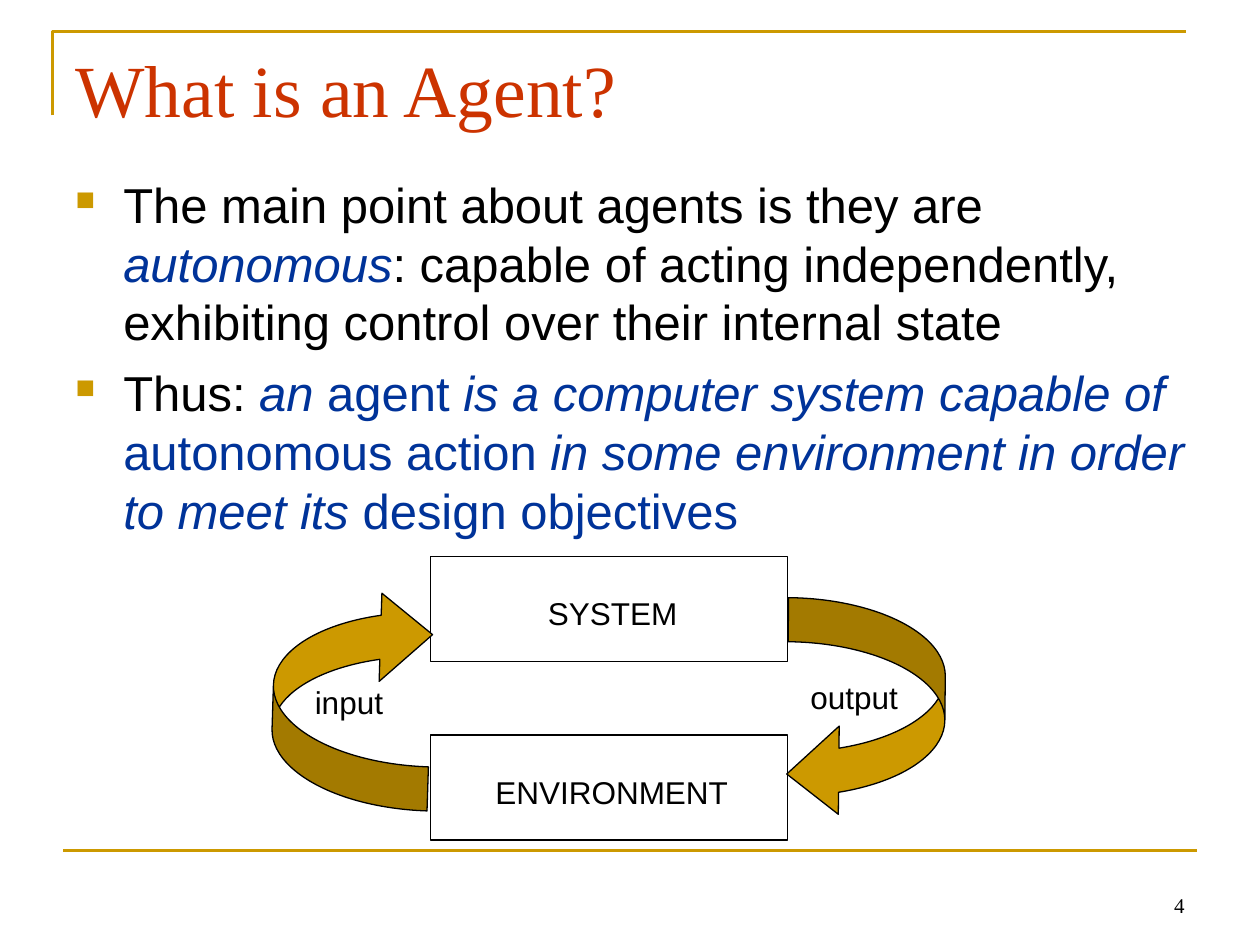
"""Build the slide that defines an agent as a loop between system and environment."""
from dataclasses import dataclass

from lxml import etree
from pptx import Presentation
from pptx import util as u
from pptx.dml.color import RGBColor
from pptx.enum import shapes, text
from pptx.oxml.ns import qn

COLS, ROWS = 120, 90
CELL = u.Inches(10) // COLS


@dataclass(frozen=True)
class Theme:
    gold: str = "CC9900"
    red: str = "CC3300"
    blue: str = "003399"
    black: str = "000000"
    sans: str = "Arial"
    serif: str = "Times New Roman"
    head: float = 42
    body: float = 28
    label: float = 18
    page: float = 12
    rule: float = 1.5
    edge: float = 0.75


@dataclass(frozen=True)
class Area:
    col: float
    row: float
    wide: float
    high: float

    def place(self) -> tuple:
        """Return left, top, width and height in slide units."""
        return tuple(round(n * CELL) for n in (self.col, self.row, self.wide, self.high))


@dataclass(frozen=True)
class Label:
    words: str
    area: Area
    wrap: bool = True


@dataclass(frozen=True)
class Arrow:
    area: Area
    turn: float


@dataclass(frozen=True)
class Run:
    words: str
    tint: str = "black"
    slant: bool = False


THEME = Theme()
BOXES = [Area(41, row, 34, 10) for row in (53, 70)]
ARROWS = [Arrow(Area(26, 56, 15, 21), 181.8), Arrow(Area(75, 57, 15, 21), 0.6)]
LABELS = [
    Label("SYSTEM", Area(51, 56, 15, 4.8)),
    Label("ENVIRONMENT", Area(46, 73, 25, 4.8)),
    Label("input", Area(28.8, 64.5, 8.9, 4.8), False),
    Label("output", Area(76, 64, 10.7, 4.8), False),
]
POINTS = [
    [
        Run("The main point about agents is they are "),
        Run("autonomous", "blue", True),
        Run(": capable of acting independently, exhibiting control over their internal state"),
    ],
    [
        Run("Thus: "),
        Run("an", "blue", True),
        Run(" agent", "blue"),
        Run(" is a computer system capable of ", "blue", True),
        Run("autonomous action ", "blue"),
        Run("in some environment in order to meet its ", "blue", True),
        Run("design objectives", "blue"),
    ],
]


def paint(line, tint: str, width: float) -> None:
    """Colour a line and set its width."""
    line.color.rgb = RGBColor.from_string(tint)
    line.width = u.Pt(width)


def add_frame(slide) -> None:
    """Draw the corner above the title and the rule above the footer."""
    build = slide.shapes.build_freeform(5, 11, scale=CELL)
    build.add_line_segments([(5, 3), (113, 3)], close=False)
    corner = build.convert_to_shape()
    corner.shadow.inherit = False
    corner.fill.background()
    paint(corner.line, THEME.gold, THEME.rule)
    ends = [n * CELL for n in (6, 81, 114, 81)]
    rule = slide.shapes.add_connector(shapes.MSO_CONNECTOR.STRAIGHT, *ends)
    etree.SubElement(rule._element.spPr, qn("a:effectLst"))
    paint(rule.line, THEME.gold, THEME.rule)


def add_text(slide, area: Area, wrap: bool = True):
    """Add an empty text box and return its frame."""
    frame = slide.shapes.add_textbox(*area.place()).text_frame
    frame.word_wrap = wrap
    return frame


def style(para, face: str, size: float, tint: str) -> None:
    """Set the font of a whole paragraph."""
    para.font.name = face
    para.font.size = u.Pt(size)
    para.font.color.rgb = RGBColor.from_string(tint)


def add_bullet(para) -> None:
    """Give a paragraph a hanging gold square."""
    props = para._p.get_or_add_pPr()
    props.set("marL", str(u.Inches(0.38)))
    props.set("indent", str(-u.Inches(0.38)))
    tint = etree.Element(qn("a:buClr"))
    etree.SubElement(tint, qn("a:srgbClr"), val=THEME.gold)
    size = etree.Element(qn("a:buSzPct"), val="55000")
    mark = etree.Element(qn("a:buChar"), char="■")
    at = len(props) - len(props.findall(qn("a:defRPr")))
    props[at:at] = [tint, size, mark]


def add_points(slide) -> None:
    """Write the bulleted statements."""
    frame = add_text(slide, Area(6, 16, 111, 39))
    for i, runs in enumerate(POINTS):
        para = frame.add_paragraph() if i else frame.paragraphs[0]
        para.space_before = u.Pt(7)
        style(para, THEME.sans, THEME.body, THEME.black)
        add_bullet(para)
        for part in runs:
            run = para.add_run()
            run.text = part.words
            run.font.italic = part.slant
            run.font.color.rgb = RGBColor.from_string(getattr(THEME, part.tint))


def add_box(slide, area: Area) -> None:
    """Draw one outlined box."""
    box = slide.shapes.add_shape(shapes.MSO_SHAPE.RECTANGLE, *area.place())
    box.shadow.inherit = False
    box.fill.background()
    paint(box.line, THEME.black, THEME.edge)


def add_arrow(slide, arrow: Arrow) -> None:
    """Draw one curved arrow of the loop."""
    kind = shapes.MSO_SHAPE.CURVED_LEFT_ARROW
    shape = slide.shapes.add_shape(kind, *arrow.area.place())
    shape.shadow.inherit = False
    shape.rotation = arrow.turn
    for i, share in enumerate((0.28, 0.56, 0.33)):
        shape.adjustments[i] = share
    shape.fill.solid()
    shape.fill.fore_color.rgb = RGBColor.from_string(THEME.gold)
    paint(shape.line, THEME.black, THEME.edge)


def add_label(slide, label: Label) -> None:
    """Write one label of the diagram."""
    para = add_text(slide, label.area, label.wrap).paragraphs[0]
    para.text = label.words
    style(para, THEME.sans, THEME.label, THEME.black)


def main() -> None:
    """Build and save the slide."""
    deck = Presentation()
    deck.slide_width, deck.slide_height = COLS * CELL, ROWS * CELL
    slide = deck.slides.add_slide(deck.slide_layouts[6])
    add_frame(slide)
    page = add_text(slide, Area(86, 82, 28, 6))
    page.vertical_anchor = text.MSO_ANCHOR.BOTTOM
    page.text = "4"
    page.paragraphs[0].alignment = text.PP_ALIGN.RIGHT
    style(page.paragraphs[0], THEME.serif, THEME.page, THEME.black)
    title = add_text(slide, Area(6, 3.6, 108, 15))
    title.text = "What is an Agent?"
    style(title.paragraphs[0], THEME.serif, THEME.head, THEME.red)
    add_points(slide)
    for area in BOXES:
        add_box(slide, area)
    for arrow in ARROWS:
        add_arrow(slide, arrow)
    for label in LABELS:
        add_label(slide, label)
    deck.save("out.pptx")


if __name__ == "__main__":
    main()
